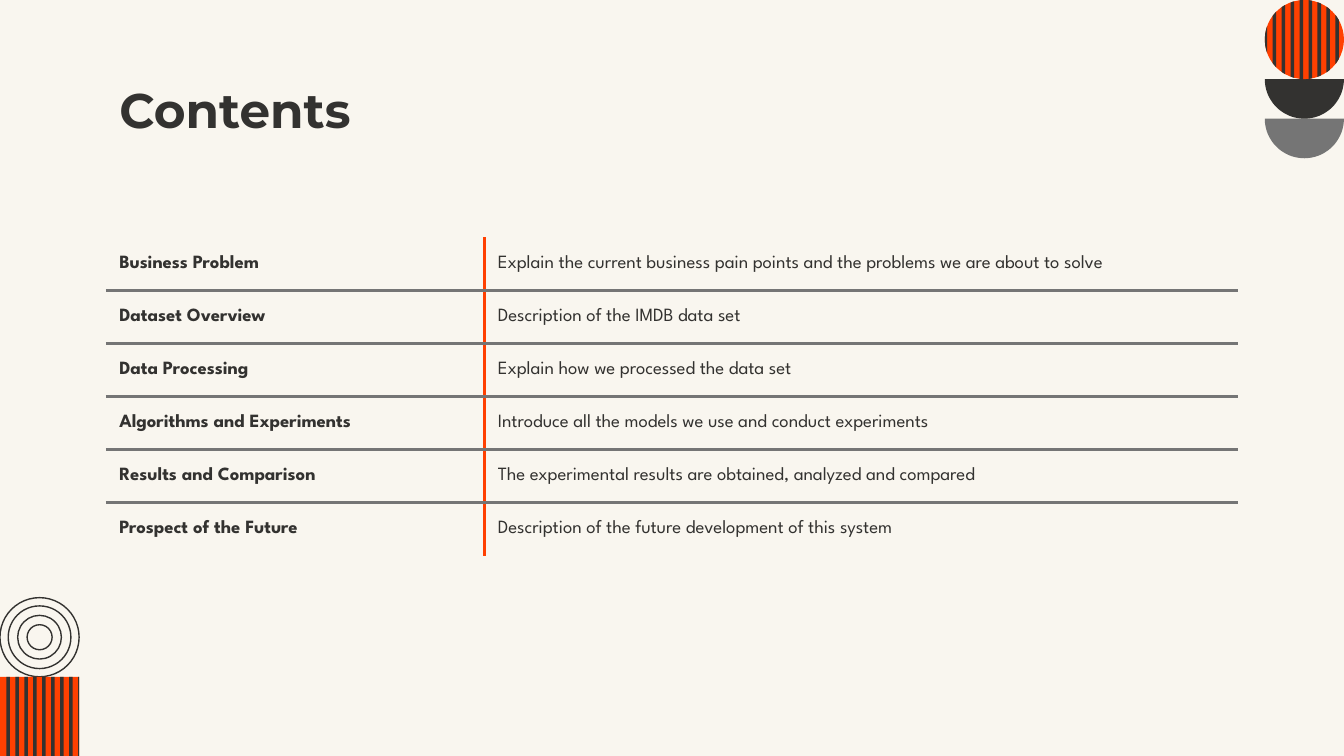
import math

from lxml import etree
from pptx import Presentation
from pptx.dml.color import RGBColor
from pptx.enum.shapes import MSO_SHAPE
from pptx.enum.text import MSO_ANCHOR, PP_ALIGN
from pptx.oxml.ns import qn
from pptx.util import Pt

OVAL, RECTANGLE = MSO_SHAPE.OVAL, MSO_SHAPE.RECTANGLE
TOP, MIDDLE, LEFT = MSO_ANCHOR.TOP, MSO_ANCHOR.MIDDLE, PP_ALIGN.LEFT

CREAM = RGBColor(0xF9, 0xF6, 0xEF)
DARK = RGBColor(0x33, 0x32, 0x30)
GREY = RGBColor(0x75, 0x75, 0x75)
ORANGE = RGBColor(0xFF, 0x40, 0x01)

TITLE = "Contents"
SECTIONS = [
    ("Business Problem", "Explain the current business pain points and the problems we are about to solve"),
    ("Dataset Overview", "Description of the IMDB data set"),
    ("Data Processing", "Explain how we processed the data set"),
    ("Algorithms and Experiments", "Introduce all the models we use and conduct experiments"),
    ("Results and Comparison", "The experimental results are obtained, analyzed and compared"),
    ("Prospect of the Future", "Description of the future development of this system"),
]

WIDTH, HEIGHT = 720, 405
MARGIN = 56.7
COLUMNS = (202.8, 403.8)
ROW_HEIGHT = 28.44
TABLE_TOP = 127.1
RULE = 1.5

ORNAMENT = 42.4
RADIUS = ORNAMENT / 2
RING_DIAMETERS = (ORNAMENT, 33.6, 23.4, 13.4)
STRIPES, STRIPE_STEP, STRIPE_WIDTH = 9, 4.8, 1.9


def write(frame, text, *, font, size, bold=True, color=DARK, anchor=MIDDLE):
    frame.word_wrap = True
    frame.vertical_anchor = anchor
    paragraph = frame.paragraphs[0]
    paragraph.alignment = LEFT
    run = paragraph.add_run()
    run.text = text
    run.font.name, run.font.size, run.font.bold = font, Pt(size), bold
    run.font.color.rgb = color


def paint(shape, fill=None, line=None):
    shape.shadow.inherit = False
    if fill is None:
        shape.fill.background()
    else:
        shape.fill.solid()
        shape.fill.fore_color.rgb = fill
    if line is None:
        shape.line.fill.background()
    else:
        shape.line.color.rgb = line
        shape.line.width = Pt(0.75)


def preset(shapes, kind, left, top, width, height, **colors):
    paint(shapes.add_shape(kind, Pt(left), Pt(top), Pt(width), Pt(height)), **colors)


def outline(shapes, points, fill):
    corners = [(Pt(x), Pt(y)) for x, y in points]
    builder = shapes.build_freeform(*corners[0])
    builder.add_line_segments(corners[1:], close=True)
    paint(builder.convert_to_shape(), fill=fill)


def stripe_spans(first):
    """Yield the left and right of each stripe, kept within the ornament."""
    for i in range(STRIPES):
        start = first + i * STRIPE_STEP
        yield max(start, 0), min(start + STRIPE_WIDTH, ORNAMENT)


def half_disc(shapes, left, top, fill):
    angles = [math.pi * i / 48 for i in range(49)]
    outline(shapes, [(left + RADIUS + RADIUS * math.cos(a), top + RADIUS * math.sin(a))
                     for a in angles], fill)


def striped_disc(shapes, left, top):
    preset(shapes, OVAL, left, top, ORNAMENT, ORNAMENT, fill=ORANGE)
    for start, end in stripe_spans(-0.6):
        xs = [start + (end - start) * i / 6 for i in range(7)]
        arc = [(x, math.sqrt(RADIUS ** 2 - (x - RADIUS) ** 2)) for x in xs]
        upper = [(left + x, top + RADIUS - y) for x, y in arc]
        lower = [(left + x, top + RADIUS + y) for x, y in reversed(arc)]
        outline(shapes, upper + lower, DARK)


def striped_square(shapes, left, top):
    preset(shapes, RECTANGLE, left, top, ORNAMENT, ORNAMENT, fill=ORANGE)
    for start, end in stripe_spans(3.4):
        preset(shapes, RECTANGLE, left + start, top, end - start, ORNAMENT, fill=DARK)


def rings(shapes, left, top):
    for diameter in RING_DIAMETERS:
        inset = (ORNAMENT - diameter) / 2
        preset(shapes, OVAL, left + inset, top + inset, diameter, diameter, line=DARK)


def set_borders(cell, **edges):
    """Draw the L, R, T and B edges, in that order; None hides an edge."""
    properties = cell._tc.get_or_add_tcPr()
    for position, (edge, color) in enumerate(edges.items()):
        line = etree.Element(qn(f"a:ln{edge}"), w=str(Pt(RULE)))
        if color is None:
            etree.SubElement(line, qn("a:noFill"))
        else:
            solid = etree.SubElement(line, qn("a:solidFill"))
            etree.SubElement(solid, qn("a:srgbClr"), val=str(color))
        properties.insert(position, line)


def add_contents(shapes):
    table = shapes.add_table(len(SECTIONS), len(COLUMNS), Pt(MARGIN), Pt(TABLE_TOP),
                             Pt(sum(COLUMNS)), Pt(ROW_HEIGHT * len(SECTIONS))).table
    table.first_row = table.horz_banding = False
    for column, width in zip(table.columns, COLUMNS):
        column.width = Pt(width)
    for r, section in enumerate(SECTIONS):
        table.rows[r].height = Pt(ROW_HEIGHT)
        for c, text in enumerate(section):
            cell = table.cell(r, c)
            cell.fill.background()
            cell.margin_left = cell.margin_right = Pt(7.2)
            cell.margin_top = cell.margin_bottom = 0
            cell.vertical_anchor = MIDDLE
            write(cell.text_frame, text, font="League Spartan", size=10, bold=c == 0)
            set_borders(cell,
                        L=ORANGE if c else None,
                        R=None if c else ORANGE,
                        T=GREY if r else None,
                        B=GREY if r < len(SECTIONS) - 1 else None)


def add_title(title):
    title.left, title.top = Pt(MARGIN), Pt(35.4)
    title.width, title.height = Pt(sum(COLUMNS)), Pt(45.1)
    frame = title.text_frame
    frame.margin_left = frame.margin_right = Pt(7.2)
    frame.margin_top = frame.margin_bottom = Pt(7.2)
    write(frame, TITLE, font="Montserrat", size=26, anchor=TOP)


def main():
    deck = Presentation()
    deck.slide_width, deck.slide_height = Pt(WIDTH), Pt(HEIGHT)
    slide = deck.slides.add_slide(deck.slide_layouts[5])
    slide.background.fill.solid()
    slide.background.fill.fore_color.rgb = CREAM
    shapes = slide.shapes

    right = WIDTH - ORNAMENT
    half_disc(shapes, right, ORNAMENT + RADIUS, GREY)
    half_disc(shapes, right, ORNAMENT, DARK)
    striped_disc(shapes, right, 0)
    rings(shapes, 0, HEIGHT - 2 * ORNAMENT)
    striped_square(shapes, 0, HEIGHT - ORNAMENT)

    add_title(shapes.title)
    add_contents(shapes)
    deck.save("out.pptx")


if __name__ == "__main__":
    main()
